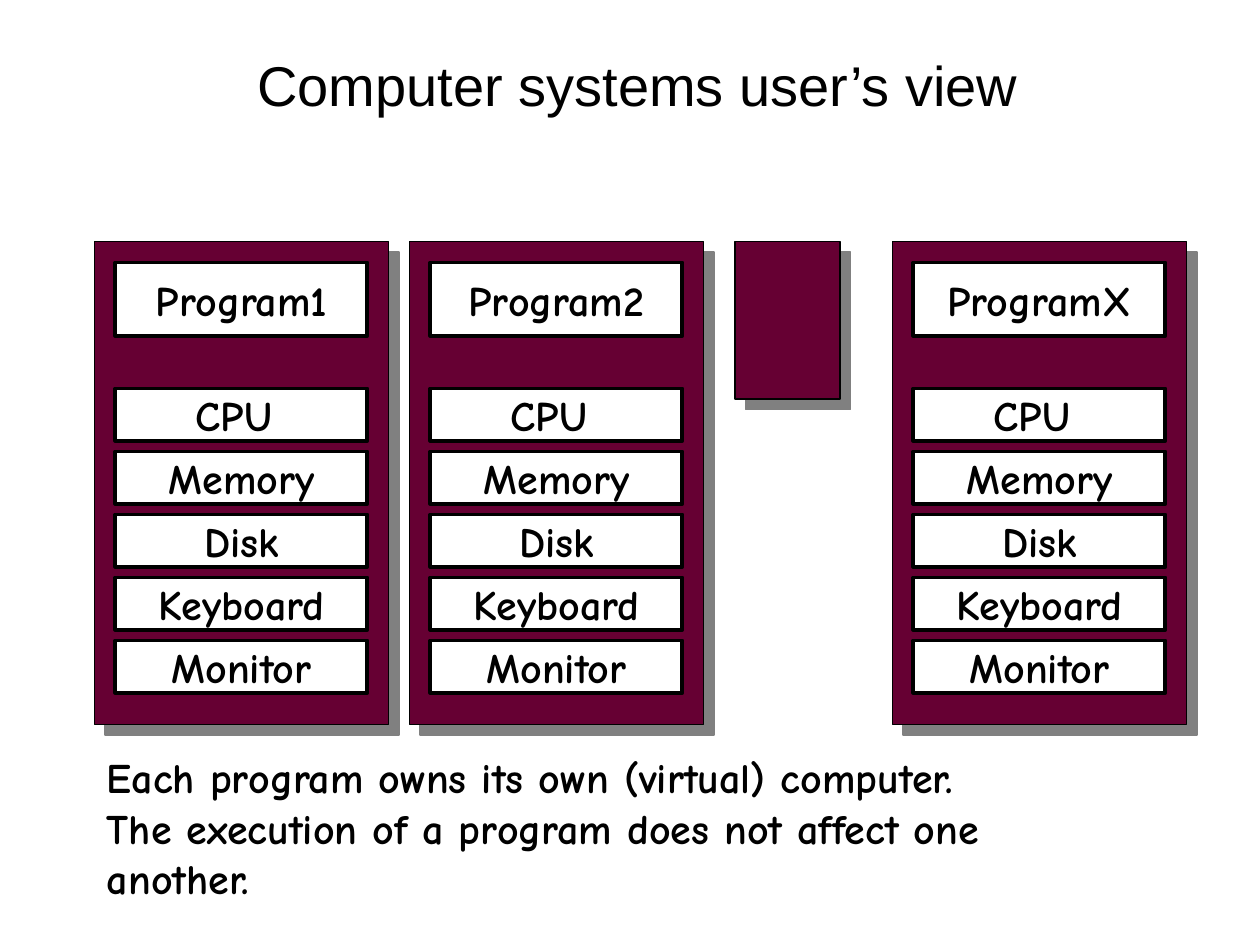
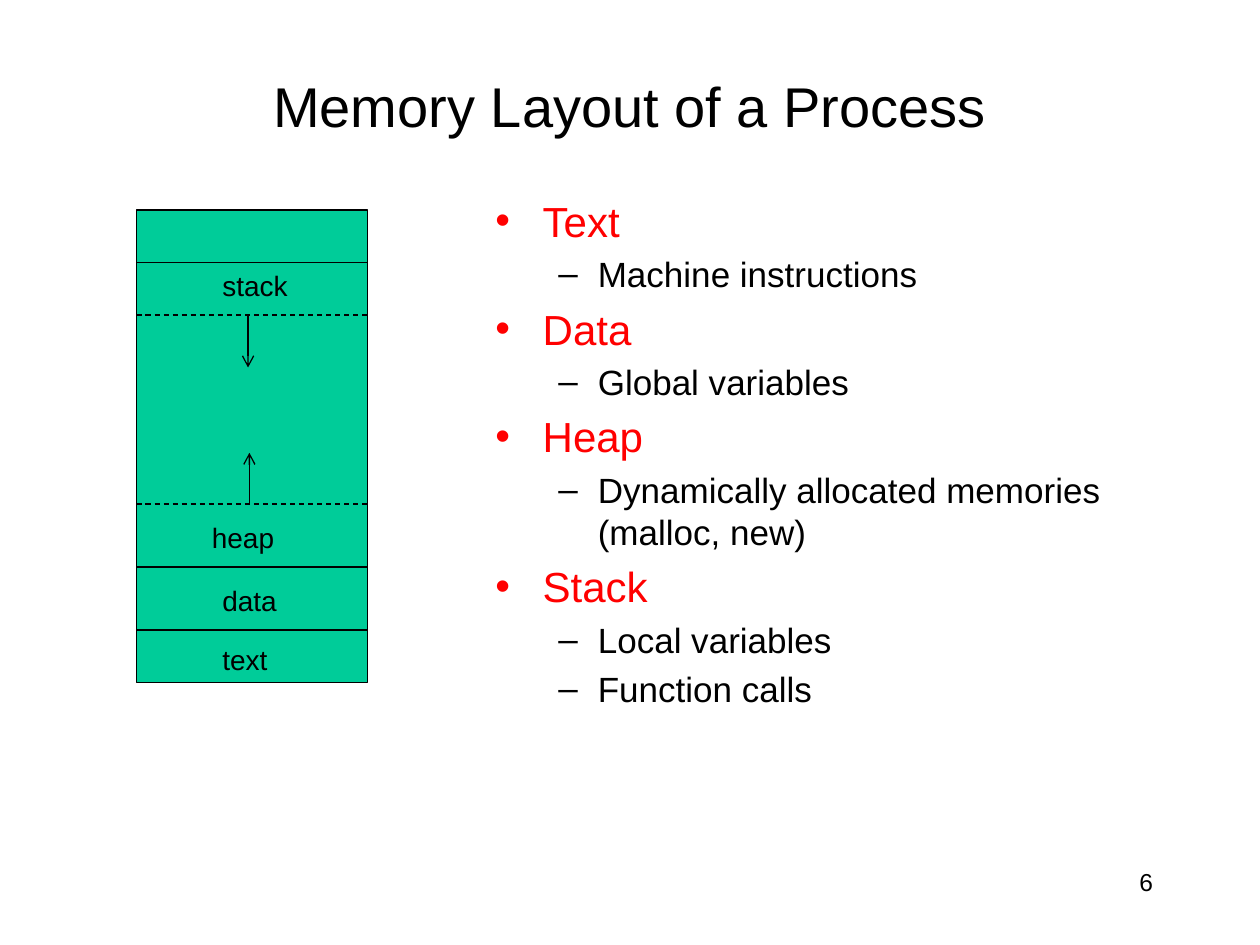
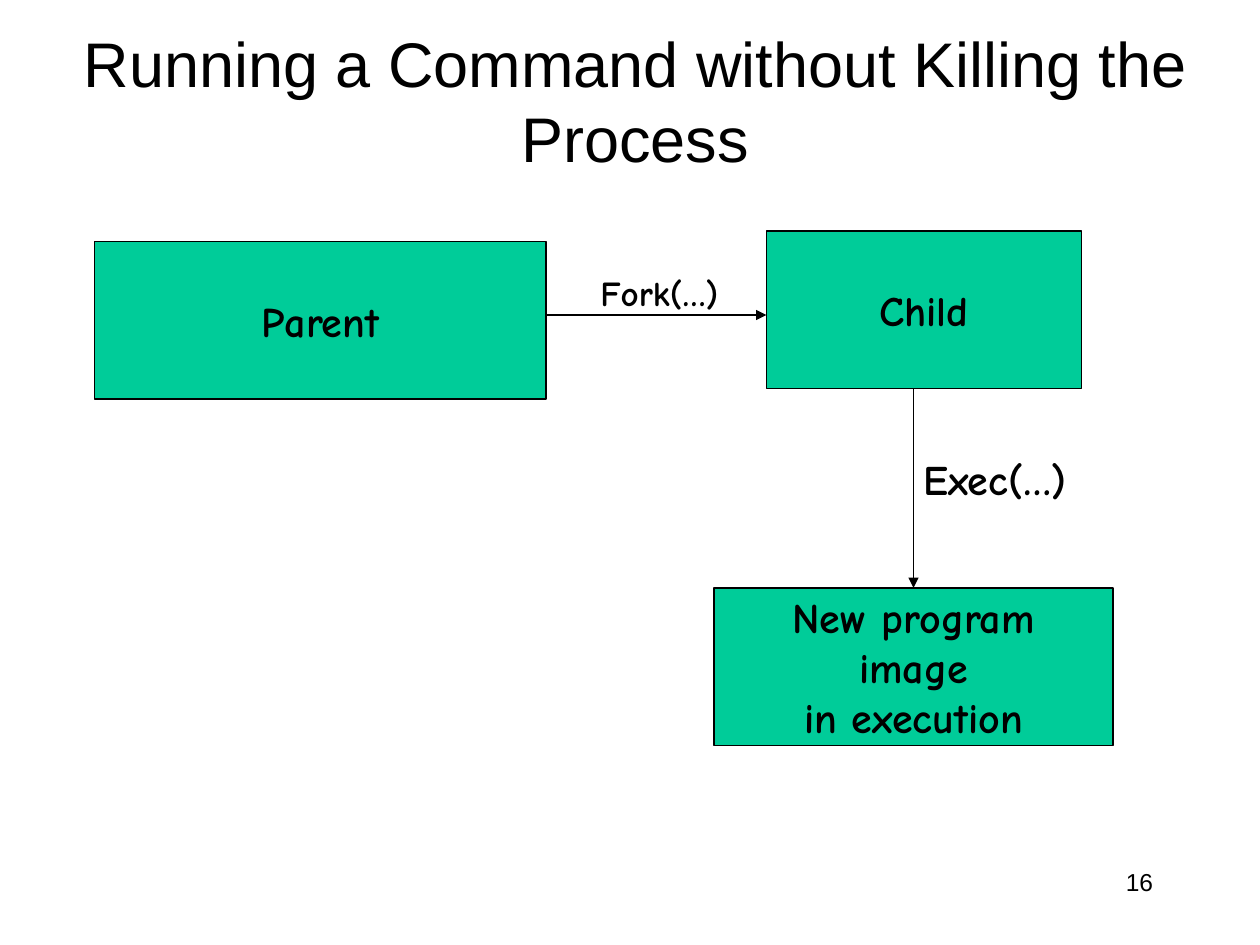
from lxml.etree import SubElement
from pptx import Presentation
from pptx.dml.color import RGBColor
from pptx.enum.dml import MSO_LINE_DASH_STYLE as DASH
from pptx.enum.shapes import MSO_CONNECTOR as CONN, MSO_SHAPE as SHAPE
from pptx.enum.text import MSO_ANCHOR as ANCHOR, PP_ALIGN as ALIGN
from pptx.oxml.ns import qn
from pptx.util import Pt

PX = 9525
BLACK = RGBColor(0x00, 0x00, 0x00)
WHITE = RGBColor(0xFF, 0xFF, 0xFF)
RED = RGBColor(0xFF, 0x00, 0x00)
GREEN = RGBColor(0x00, 0xCC, 0x99)
WINE = RGBColor(0x66, 0x00, 0x33)
GREY = RGBColor(0x80, 0x80, 0x80)

TITLE = {"name": "Arial", "size": Pt(32)}
BIG_TITLE = {"name": "Arial", "size": Pt(36)}
TOPIC = {"name": "Arial", "size": Pt(24)}
DETAIL = {"name": "Arial", "size": Pt(20)}
LABEL = {"name": "Arial", "size": Pt(16)}
NUMBER = {"name": "Arial", "size": Pt(14)}
COMIC = {"name": "Comic Neue", "size": Pt(24), "bold": True}
SMALL_COMIC = {"name": "Comic Neue", "size": Pt(20), "bold": True}

DEVICES = ["CPU ", "Memory", "Disk", "Keyboard", "Monitor"]
SEGMENTS = [
    ("Text", ["Machine instructions"]),
    ("Data", ["Global variables"]),
    ("Heap", ["Dynamically allocated memories (malloc, new)"]),
    ("Stack", ["Local variables", "Function calls"]),
]


def emu(*lengths):
    return [n * PX for n in lengths]


def add_run(p, text, fmt, color=BLACK):
    r = p.add_run()
    r.text = text
    for key, value in fmt.items():
        setattr(r.font, key, value)
    r.font.color.rgb = color


def write(tf, lines, fmt, align=ALIGN.LEFT, anchor=ANCHOR.TOP, wrap=True):
    tf.word_wrap = wrap
    tf.vertical_anchor = anchor
    for i, line in enumerate(lines):
        p = tf.add_paragraph() if i else tf.paragraphs[0]
        p.alignment = align
        add_run(p, line, fmt)


def add_text(s, box, lines, fmt, **layout):
    tf = s.shapes.add_textbox(*emu(*box)).text_frame
    write(tf, lines, fmt, **layout)


def add_title(s, box, text, fmt=TITLE):
    add_text(s, box, [text], fmt, align=ALIGN.CENTER, anchor=ANCHOR.MIDDLE)


def add_number(s, number):
    add_text(s, (688, 656, 200, 48), [number], NUMBER, align=ALIGN.RIGHT)


def add_box(s, box, fill, lines=(), width=0.75):
    sp = s.shapes.add_shape(SHAPE.RECTANGLE, *emu(*box))
    sp.shadow.inherit = False
    sp.fill.solid()
    sp.fill.fore_color.rgb = fill
    sp.line.color.rgb = BLACK
    sp.line.width = Pt(width)
    write(sp.text_frame, lines, COMIC, ALIGN.CENTER, ANCHOR.MIDDLE, False)
    return sp


def add_case(s, box):
    sp = add_box(s, box, WINE)
    effects = sp._element.spPr.find(qn("a:effectLst"))
    shadow = SubElement(effects, qn("a:outerShdw"), dist=str(Pt(8.5)),
                        dir="2700000", algn="ctr", rotWithShape="0")
    SubElement(shadow, qn("a:srgbClr"), val=str(GREY))


def add_line(s, x1, y1, x2, y2, dash=None, arrow=None):
    cn = s.shapes.add_connector(CONN.STRAIGHT, *emu(x1, y1, x2, y2))
    cn.line.color.rgb = BLACK
    cn.line.width = Pt(0.75)
    if dash:
        cn.line.dash_style = dash
    if arrow:
        SubElement(cn.line._get_or_add_ln(), qn("a:tailEnd"), type=arrow)
    SubElement(cn._element.spPr, qn("a:effectLst"))


def add_computer(s, box, program):
    x, y, w, h = box
    add_case(s, box)
    add_box(s, (x + 16, y + 16, w - 32, 56), WHITE, [program], 2.25)
    for i, device in enumerate(DEVICES):
        add_box(s, (x + 16, y + 112 + 48 * i, w - 32, 40), WHITE, [device], 2.25)


def add_memory(s, box):
    x, y, w, h = box
    add_box(s, box, GREEN)
    for dy, dash in [(40, None), (80, DASH.DASH), (224, DASH.DASH),
                     (272, None), (320, None)]:
        add_line(s, x, y + dy, x + w, y + dy, dash)
    for text, dx, dy in [("stack", 56, 40), ("heap", 48, 232),
                         ("data", 56, 280), ("text", 56, 325)]:
        add_text(s, (x + dx, y + dy, 72, 36), [text], LABEL)
    for dx, start, end in [(85, 80, 120), (86, 224, 185)]:
        add_line(s, x + dx, y + start, x + dx, y + end, arrow="arrow")


def add_bullet(p, text, fmt, color, level, mark, indent, hang):
    p.level = level
    pPr = p._p.get_or_add_pPr()
    pPr.set("marL", str(indent * PX))
    pPr.set("indent", str(-hang * PX))
    before = SubElement(pPr, qn("a:spcBef"))
    SubElement(before, qn("a:spcPct"), val="20000")
    SubElement(pPr, qn("a:buFont"), typeface="Arial")
    SubElement(pPr, qn("a:buChar"), char=mark)
    add_run(p, text, fmt, color)


def add_segments(s, box):
    tf = s.shapes.add_textbox(*emu(*box)).text_frame
    tf.word_wrap = True
    p = tf.paragraphs[0]
    for i, (topic, details) in enumerate(SEGMENTS):
        p = tf.add_paragraph() if i else p
        add_bullet(p, topic, TOPIC, RED, 0, "•", 36, 36)
        for detail in details:
            add_bullet(tf.add_paragraph(), detail, DETAIL, BLACK, 1, "–", 78, 30)


def users_view(s):
    add_title(s, (88, 16, 808, 96), "Computer systems user’s view ")
    for x, program in [(72, "Program1"), (312, "Program2"), (680, "ProgramX")]:
        add_computer(s, (x, 184, 224, 368), program)
    add_case(s, (560, 184, 80, 120))
    add_text(s, (72, 568, 800, 126), [
        "Each program owns its own (virtual) computer.",
        "The execution of a program does not affect one",
        "another.",
    ], COMIC)


def memory_layout(s):
    add_title(s, (72, 40, 816, 80), "Memory Layout of a Process")
    add_segments(s, (368, 144, 552, 496))
    add_number(s, "6")
    add_memory(s, (104, 160, 176, 360))


def running_command(s):
    add_title(s, (40, 16, 888, 120),
              "Running a Command without Killing the Process", BIG_TITLE)
    add_number(s, "16")
    add_box(s, (72, 184, 344, 120), GREEN, ["Parent"])
    add_box(s, (584, 176, 240, 120), GREEN, ["Child"])
    add_box(s, (544, 448, 304, 120), GREEN,
            ["New program", "image", "in execution"])
    add_line(s, 416, 240, 584, 240, arrow="triangle")
    add_line(s, 696, 296, 696, 448, arrow="triangle")
    add_text(s, (448, 202, 114, 41), ["Fork(…)"], SMALL_COMIC)
    add_text(s, (694, 341, 137, 48), ["Exec(…)"], COMIC)


def main():
    prs = Presentation()
    prs.slide_width, prs.slide_height = emu(960, 720)
    for build in (users_view, memory_layout, running_command):
        build(prs.slides.add_slide(prs.slide_layouts[6]))
    prs.save("out.pptx")


if __name__ == "__main__":
    main()
